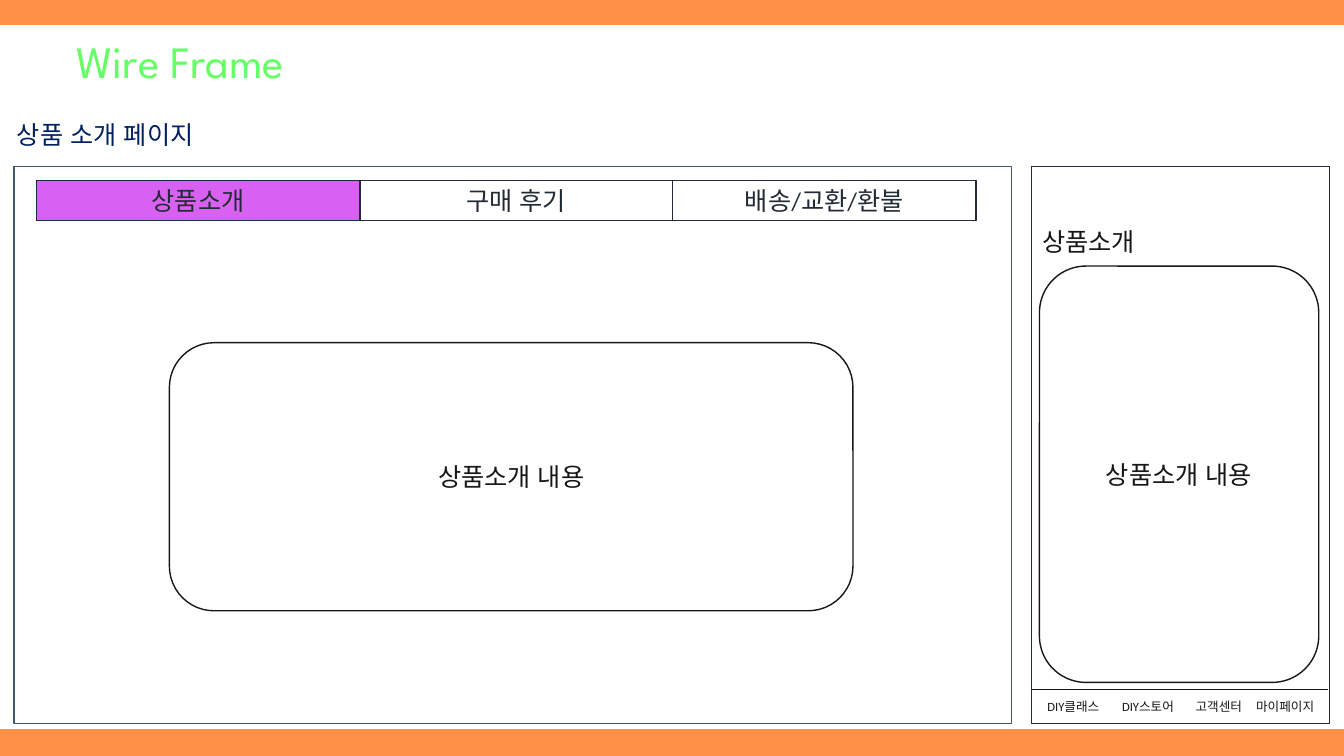
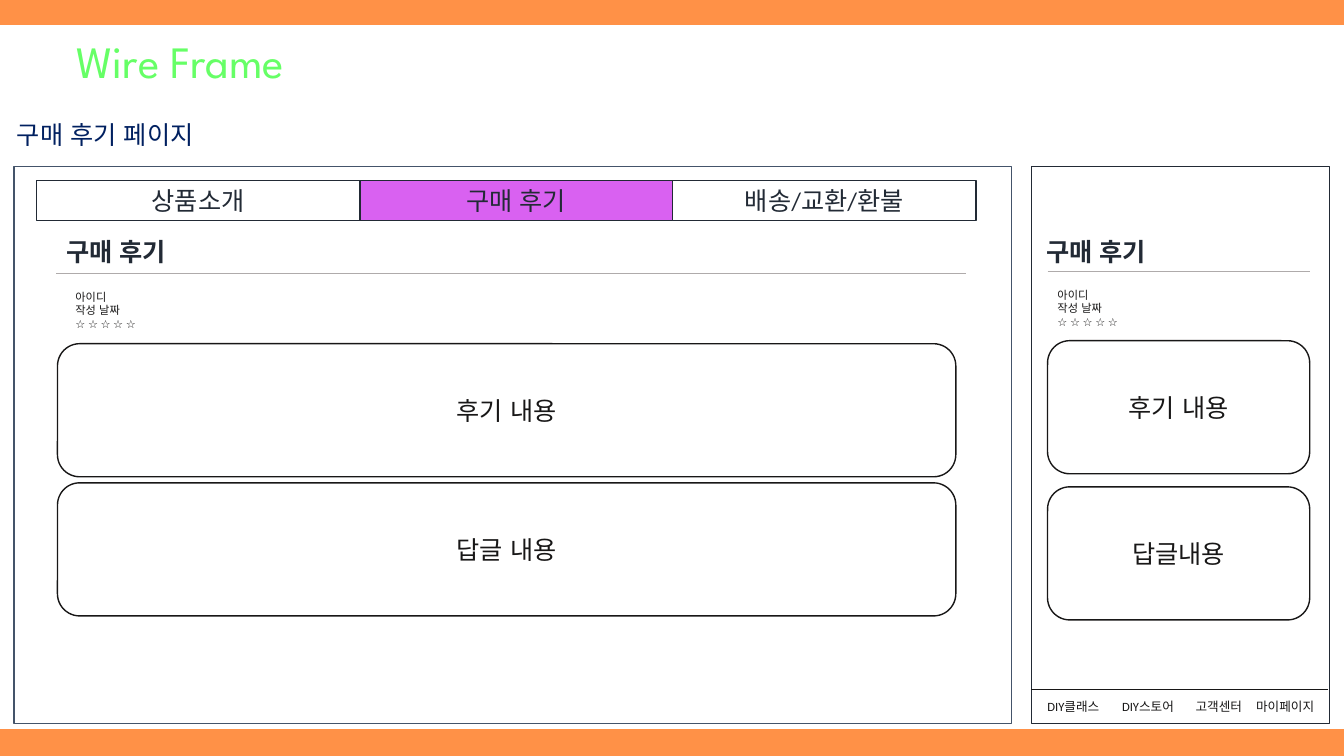
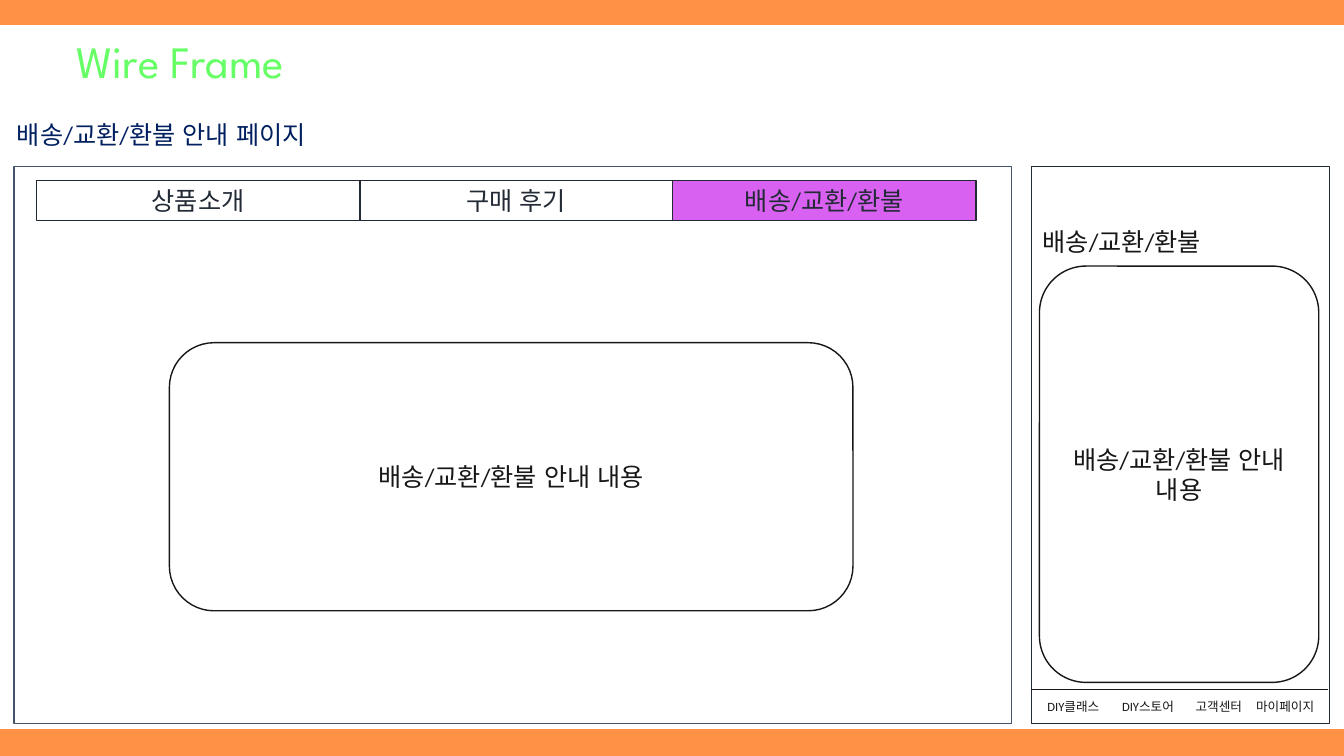
from pptx import Presentation
from pptx.dml.color import RGBColor
from pptx.enum.lang import MSO_LANGUAGE_ID
from pptx.enum.shapes import MSO_CONNECTOR, MSO_SHAPE
from pptx.enum.text import MSO_ANCHOR, PP_ALIGN
from pptx.oxml.ns import qn
from pptx.util import Inches, Pt
from lxml import etree

RECTANGLE = MSO_SHAPE.RECTANGLE
ROUNDED = MSO_SHAPE.ROUNDED_RECTANGLE
STRAIGHT = MSO_CONNECTOR.STRAIGHT
CENTER = PP_ALIGN.CENTER
MIDDLE = MSO_ANCHOR.MIDDLE
KOREAN = MSO_LANGUAGE_ID.KOREAN

COLORS = {
    "band": "FF9147",
    "paper": "FFFFFF",
    "title": "66FF66",
    "subtitle": "002060",
    "desktop": "44546A",
    "frame": "222A35",
    "ink": "181717",
    "rule": "AFABAB",
    "active": "D961F1",
}
TABS = [("상품소개", 0.36, 3.21), ("구매 후기", 3.57, 3.1), ("배송/교환/환불", 6.67, 3.01)]
MENU = ["DIY클래스", "DIY스토어", "고객센터", "마이페이지"]
MENU_STOPS = [0.74, 1.47, 2.07]
REVIEWER = ["아이디", "작성 날짜", "☆ ☆ ☆ ☆ ☆"]


class Wireframe:
    def __init__(self):
        self.deck = Presentation()
        self.deck.slide_width = Inches(13.33)
        self.deck.slide_height = Inches(7.5)
        self.page = None

    def color(self, name):
        return RGBColor.from_string(COLORS[name])

    def fill_text(self, frame, lines, size, color, font="Calibri", bold=False, align=None, stops=()):
        frame.word_wrap = True
        for index, line in enumerate(lines):
            para = frame.paragraphs[0] if index == 0 else frame.add_paragraph()
            para.text = line
            para.alignment = align
            if stops:
                tab_list = etree.SubElement(para._p.get_or_add_pPr(), qn("a:tabLst"))
                for stop in stops:
                    etree.SubElement(tab_list, qn("a:tab"), pos=str(Inches(stop)), algn="l")
            para.font.name = font
            para.font.size = Pt(size)
            para.font.bold = bold
            para.font.color.rgb = self.color(color)
            for span in para.runs:
                span.font.language_id = KOREAN

    def text(self, left, top, width, height, lines, size=18, color="ink", **style):
        box = self.page.shapes.add_textbox(
            Inches(left), Inches(top), Inches(width), Inches(height))
        self.fill_text(box.text_frame, lines, size, color, **style)

    def panel(self, left, top, width, height, line, label=None, fill="paper", kind=RECTANGLE):
        """Outlined box whose optional label takes the colour of the outline."""
        shape = self.page.shapes.add_shape(
            kind, Inches(left), Inches(top), Inches(width), Inches(height))
        shape.shadow.inherit = False
        shape.fill.solid()
        shape.fill.fore_color.rgb = self.color(fill)
        shape.line.color.rgb = self.color(line)
        shape.line.width = Pt(1)
        if label:
            shape.text_frame.vertical_anchor = MIDDLE
            self.fill_text(shape.text_frame, [label], 18, line, align=CENTER)

    def card(self, left, top, width, height, label):
        self.panel(left, top, width, height, "ink", label, kind=ROUNDED)

    def rule(self, left, right, top, color):
        line = self.page.shapes.add_connector(
            STRAIGHT, Inches(left), Inches(top), Inches(right), Inches(top))
        line.line.color.rgb = self.color(color)
        line.line.width = Pt(0.5)
        etree.SubElement(line._element.spPr, qn("a:effectLst"))

    def start_page(self, subtitle, active):
        """New slide with bands, titles, desktop tabs and the phone frame."""
        self.page = self.deck.slides.add_slide(self.deck.slide_layouts[6])
        background = self.page.background.fill
        background.solid()
        background.fore_color.rgb = self.color("band")
        self.panel(0, 0.26, 13.33, 6.97, "paper")
        self.text(0.66, 0.29, 2.77, 0.64, ["Wire Frame"], 32, "title", font="League Spartan")
        self.text(0.07, 1.13, 9.71, 0.4, [subtitle], color="subtitle")
        self.panel(0.14, 1.65, 9.89, 5.53, "desktop")
        for label, left, width in TABS:
            fill = "active" if label == active else "paper"
            self.panel(left, 1.79, width, 0.4, "frame", label, fill)
        self.panel(10.23, 1.65, 2.96, 5.53, "frame")
        self.text(10.29, 6.88, 2.9, 0.25, ["\t".join(MENU)], 9, stops=MENU_STOPS)
        self.rule(10.23, 13.17, 6.84, "ink")

    def content_page(self, subtitle, active, content):
        self.start_page(subtitle, active)
        self.card(1.68, 3.4, 6.78, 2.66, content)
        self.text(10.24, 2.2, 2.01, 0.4, [active])
        self.card(10.31, 2.64, 2.77, 4.13, content)

    def review(self, heading_left, rule_left, rule_right, rule_top, author_left, cards):
        """Heading, rule, author lines and cards of one review column."""
        self.text(heading_left, 2.3, 1.57, 0.4, ["구매 후기"], color="frame", bold=True)
        self.rule(rule_left, rule_right, rule_top, "rule")
        self.text(author_left, rule_top + 0.12, 1.6, 0.5, REVIEWER, 8)
        for left, top, width, label in cards:
            self.card(left, top, width, 1.32, label)

    def review_page(self, subtitle, active):
        self.start_page(subtitle, active)
        self.review(0.56, 0.56, 9.58, 2.71, 0.65, [
            (0.57, 3.41, 8.91, "후기 내용"), (0.57, 4.79, 8.91, "답글 내용")])
        self.review(10.28, 10.39, 12.99, 2.69, 10.39, [
            (10.39, 3.38, 2.6, "후기 내용"), (10.39, 4.83, 2.6, "답글내용")])


def main():
    wireframe = Wireframe()
    wireframe.content_page("상품 소개 페이지", "상품소개", "상품소개 내용")
    wireframe.review_page("구매 후기 페이지", "구매 후기")
    wireframe.content_page("배송/교환/환불 안내 페이지", "배송/교환/환불", "배송/교환/환불 안내 내용")
    wireframe.deck.save("out.pptx")


if __name__ == "__main__":
    main()
